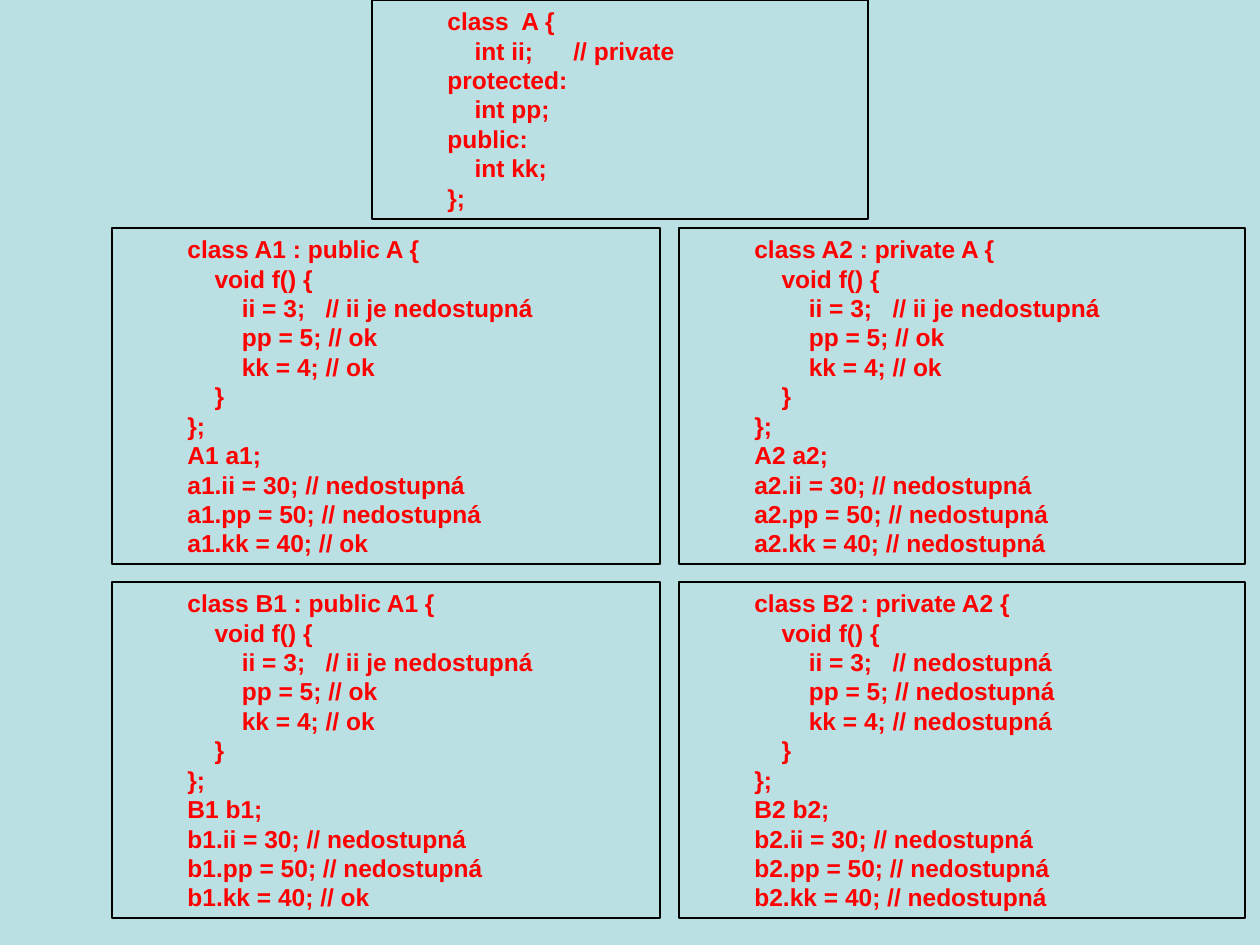
from pptx import Presentation
from pptx.dml.color import RGBColor
from pptx.enum.text import MSO_AUTO_SIZE
from pptx.util import Emu, Pt

BACKGROUND = RGBColor(0xBB, 0xE0, 0xE3)
CODE_COLOR = RGBColor(0xFF, 0x00, 0x00)
BORDER = RGBColor(0x00, 0x00, 0x00)
PIXEL = 914400 / 126

BASE_CLASS = [
    "class  A {",
    "    int ii;\t// private",
    "protected:",
    "    int pp;",
    "public:",
    "    int kk;",
    "};",
]
BASE_BOX = (372, 0, 496, 219)

OK = "ok"
DENIED = "nedostupná"
II_DENIED = "ii je nedostupná"
DERIVED_CLASSES = [
    [
        ("A1", "public A", (II_DENIED, OK, OK), (DENIED, DENIED, OK)),
        ("A2", "private A", (II_DENIED, OK, OK), (DENIED, DENIED, DENIED)),
    ],
    [
        ("B1", "public A1", (II_DENIED, OK, OK), (DENIED, DENIED, OK)),
        ("B2", "private A2", (DENIED, DENIED, DENIED), (DENIED, DENIED, DENIED)),
    ],
]
COLUMNS = [(112, 548), (679, 566)]
ROW_TOPS = [228, 582]
ROW_HEIGHT = 336


def pixels(value):
    return Emu(round(value * PIXEL))


def derived_code(name, base, inside, outside):
    variable = name.lower()
    assignments = ["ii = 3;  ", "pp = 5;", "kk = 4;"]
    accesses = ["ii = 30;", "pp = 50;", "kk = 40;"]
    return [
        f"class {name} : {base} {{",
        "    void f() {",
        *(f"        {code} // {note}" for code, note in zip(assignments, inside)),
        "    }",
        "};",
        f"{name} {variable};",
        *(f"{variable}.{code} // {note}" for code, note in zip(accesses, outside)),
    ]


def add_code_box(slide, lines, box):
    shape = slide.shapes.add_textbox(*map(pixels, box))
    shape.line.color.rgb = BORDER
    shape.line.width = Pt(0.75)
    text_frame = shape.text_frame
    text_frame.word_wrap = True
    text_frame.auto_size = MSO_AUTO_SIZE.SHAPE_TO_FIT_TEXT
    text_frame.text = "\n".join(lines)
    for paragraph in text_frame.paragraphs:
        paragraph.level = 1
        properties = paragraph._p.get_or_add_pPr()
        properties.set("marL", str(pixels(63)))
        properties.set("indent", "0")
        for run in paragraph.runs:
            run.font.name = "Arial"
            run.font.size = Pt(14)
            run.font.bold = True
            run.font.color.rgb = CODE_COLOR


presentation = Presentation()
presentation.slide_width = pixels(1260)
presentation.slide_height = pixels(945)
slide = presentation.slides.add_slide(presentation.slide_layouts[6])
slide.background.fill.solid()
slide.background.fill.fore_color.rgb = BACKGROUND

add_code_box(slide, BASE_CLASS, BASE_BOX)
for top, row in zip(ROW_TOPS, DERIVED_CLASSES):
    for (left, width), derived in zip(COLUMNS, row):
        add_code_box(slide, derived_code(*derived), (left, top, width, ROW_HEIGHT))

presentation.save("out.pptx")
